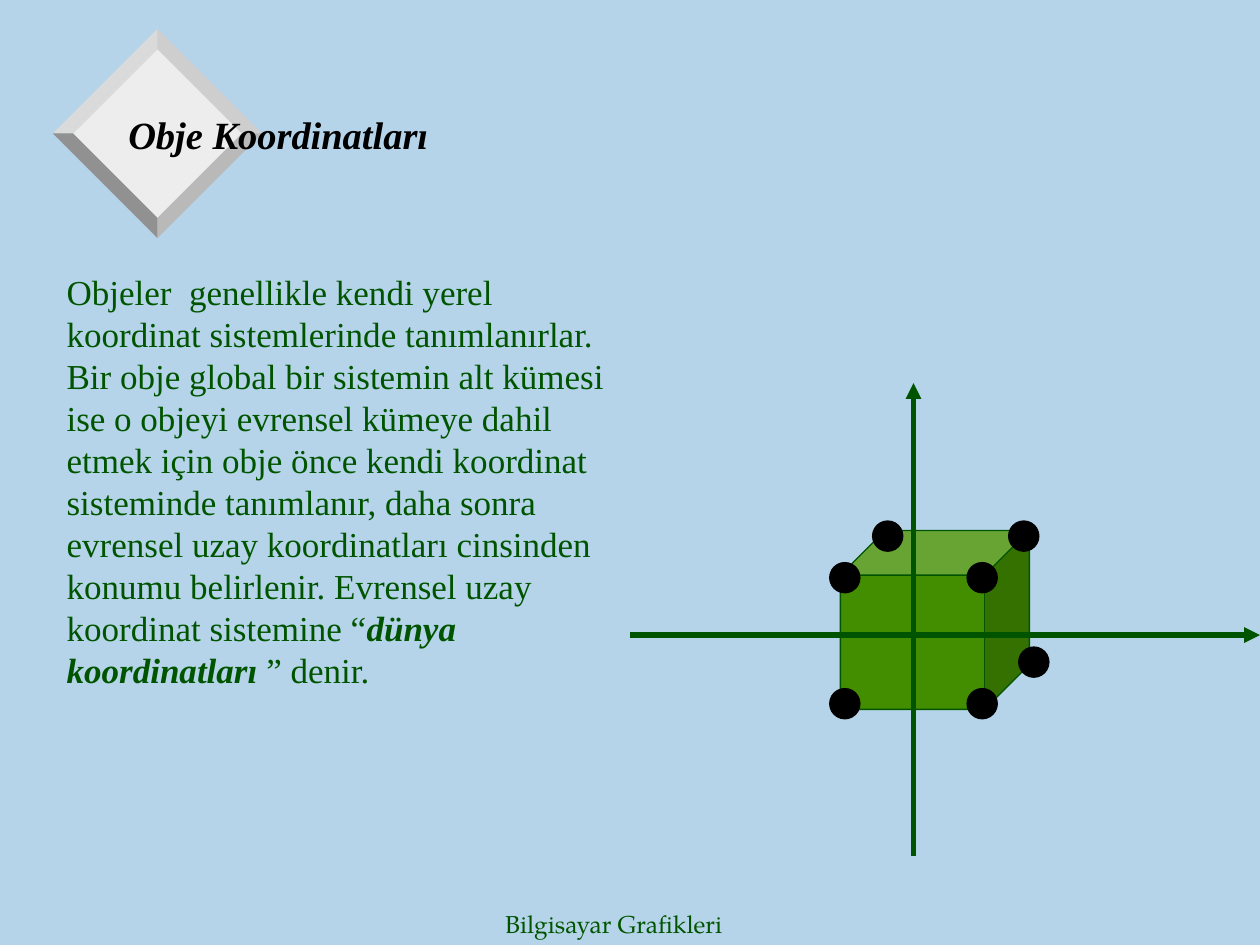
from typing import NamedTuple

from lxml import etree
from pptx import Presentation
from pptx.dml.color import RGBColor
from pptx.enum.shapes import MSO_CONNECTOR, MSO_SHAPE
from pptx.enum.text import MSO_ANCHOR
from pptx.oxml.ns import qn
from pptx.util import Inches, Pt

GREEN = "005400"
BLACK = "000000"
SERIF = "Times New Roman"


class Point(NamedTuple):
    x: float
    y: float


class Run(NamedTuple):
    text: str
    emphasis: bool = False


class Facet(NamedTuple):
    start: Point
    end: Point
    color: str


class Axis(NamedTuple):
    tail: Point
    tip: Point


UP, RIGHT, DOWN, LEFT = Point(0, -1), Point(1, 0), Point(0, 1), Point(-1, 0)
DIAMOND_CENTER = Point(1.25, 1.06)
OUTER_RADIUS, INNER_RADIUS = 0.83, 0.67
FACETS = [
    Facet(UP, RIGHT, "CECECE"),
    Facet(LEFT, UP, "DADADA"),
    Facet(RIGHT, DOWN, "B9B9B9"),
    Facet(DOWN, LEFT, "919191"),
]

VERTEX_SIZE = 0.25
VERTICES = [
    Point(8, 4.13), Point(7.67, 4.46), Point(8.08, 5.13), Point(7.67, 5.46),
    Point(6.58, 5.46), Point(6.58, 4.46), Point(6.92, 4.13),
]
AXES = [
    Axis(Point(5, 5.04), Point(10, 5.04)),
    Axis(Point(7.25, 6.79), Point(7.25, 3.04)),
]

BODY = [
    Run("Objeler  genellikle kendi yerel koordinat sistemlerinde tanımlanırlar. "
        "Bir obje global bir sistemin alt kümesi ise o objeyi evrensel kümeye dahil "
        "etmek için obje önce kendi koordinat sisteminde tanımlanır, daha sonra "
        "evrensel uzay koordinatları cinsinden konumu belirlenir. Evrensel uzay "
        "koordinat sistemine “"),
    Run("dünya koordinatları ", emphasis=True),
    Run("” denir."),
]


def rgb(color: str) -> RGBColor:
    return RGBColor.from_string(color)


def paint(shape, fill: str, line: str | None = None) -> None:
    shape.shadow.inherit = False
    shape.fill.solid()
    shape.fill.fore_color.rgb = rgb(fill)
    if line:
        shape.line.color.rgb = rgb(line)
        shape.line.width = Pt(0.75)
    else:
        shape.line.fill.background()


def add_polygon(slide, points: list[Point], fill: str) -> None:
    corners = [(Inches(point.x), Inches(point.y)) for point in points]
    builder = slide.shapes.build_freeform(*corners[0])
    builder.add_line_segments(corners[1:], close=True)
    paint(builder.convert_to_shape(), fill)


def diamond_tip(direction: Point, radius: float) -> Point:
    return Point(DIAMOND_CENTER.x + radius * direction.x,
                 DIAMOND_CENTER.y + radius * direction.y)


def add_bevelled_diamond(slide) -> None:
    face = [diamond_tip(side, INNER_RADIUS) for side in (UP, LEFT, DOWN, RIGHT)]
    add_polygon(slide, face, "EDEDED")
    for facet in FACETS:
        add_polygon(slide, [
            diamond_tip(facet.start, INNER_RADIUS),
            diamond_tip(facet.start, OUTER_RADIUS),
            diamond_tip(facet.end, OUTER_RADIUS),
            diamond_tip(facet.end, INNER_RADIUS),
        ], facet.color)


def add_preset(slide, kind: MSO_SHAPE, corner: Point, width: float, height: float,
               fill: str, line: str | None = None) -> None:
    shape = slide.shapes.add_shape(
        kind, Inches(corner.x), Inches(corner.y), Inches(width), Inches(height))
    paint(shape, fill, line)


def add_axis(slide, axis: Axis) -> None:
    connector = slide.shapes.add_connector(
        MSO_CONNECTOR.STRAIGHT, Inches(axis.tail.x), Inches(axis.tail.y),
        Inches(axis.tip.x), Inches(axis.tip.y))
    connector.line.color.rgb = rgb(GREEN)
    connector.line.width = Pt(3)
    properties = connector.line._get_or_add_ln()
    etree.SubElement(properties, qn("a:tailEnd"), type="triangle")
    etree.SubElement(properties.getparent(), qn("a:effectLst"))


def add_text(slide, runs: list[Run], corner: Point, width: float, height: float, *,
             size: float, font: str = SERIF, color: str = GREEN,
             anchor: MSO_ANCHOR = MSO_ANCHOR.MIDDLE, wrap: bool = True) -> None:
    box = slide.shapes.add_textbox(
        Inches(corner.x), Inches(corner.y), Inches(width), Inches(height))
    frame = box.text_frame
    frame.word_wrap = wrap
    frame.vertical_anchor = anchor
    paragraph = frame.paragraphs[0]
    for item in runs:
        run = paragraph.add_run()
        run.text = item.text
        run.font.name = font
        run.font.size = Pt(size)
        run.font.color.rgb = rgb(color)
        run.font.bold = run.font.italic = item.emphasis


def main() -> None:
    presentation = Presentation()
    presentation.slide_width = Inches(10)
    presentation.slide_height = Inches(7.5)
    slide = presentation.slides.add_slide(presentation.slide_layouts[6])
    slide.background.fill.solid()
    slide.background.fill.fore_color.rgb = rgb("B5D4E9")

    add_bevelled_diamond(slide)
    add_text(slide, [Run("Bilgisayar Grafikleri")], Point(3.91, 7.17), 2.08, 0.33,
             size=14, font="TeX Gyre Pagella", wrap=False)
    add_text(slide, [Run("Obje Koordinatları", emphasis=True)], Point(0.92, 0.46),
             8.5, 1.21, size=22, color=BLACK)

    add_preset(slide, MSO_SHAPE.CUBE, Point(6.67, 4.21), 1.5, 1.42, "438E00", GREEN)
    for vertex in VERTICES:
        add_preset(slide, MSO_SHAPE.OVAL, vertex, VERTEX_SIZE, VERTEX_SIZE, BLACK)
    for axis in AXES:
        add_axis(slide, axis)

    add_text(slide, BODY, Point(0.43, 2.1), 4.49, 3.44, size=20, anchor=MSO_ANCHOR.TOP)
    presentation.save("out.pptx")


if __name__ == "__main__":
    main()
